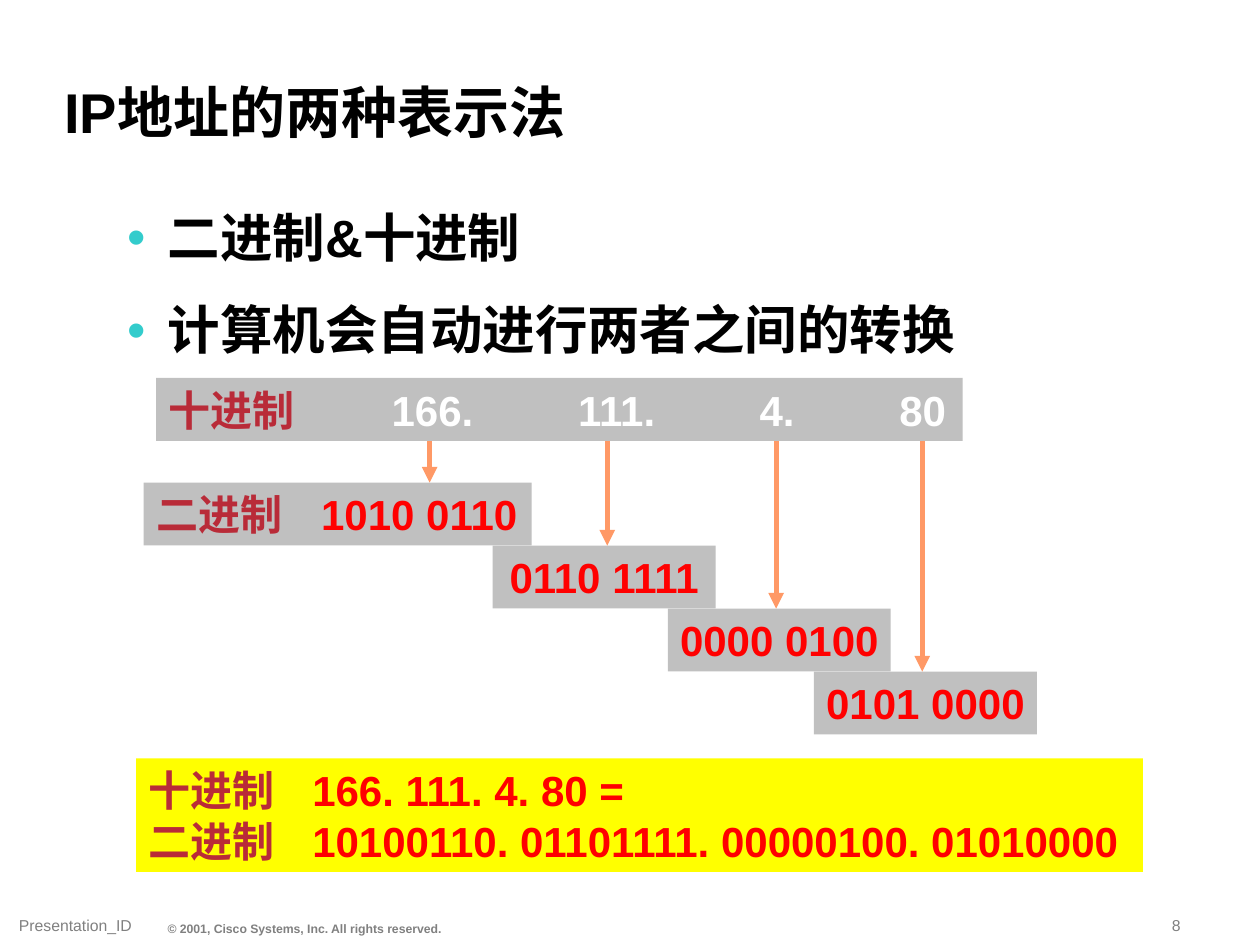
"""Build the slide on the decimal and binary notations of IP addresses."""
from lxml import etree
from pptx import Presentation
from pptx.dml.color import RGBColor
from pptx.enum.shapes import MSO_CONNECTOR, MSO_SHAPE
from pptx.enum.text import MSO_ANCHOR, MSO_AUTO_SIZE, PP_ALIGN
from pptx.oxml.ns import qn
from pptx.util import Inches, Pt

RECTANGLE = MSO_SHAPE.RECTANGLE
STRAIGHT = MSO_CONNECTOR.STRAIGHT
MIDDLE, BOTTOM = MSO_ANCHOR.MIDDLE, MSO_ANCHOR.BOTTOM
LEFT, CENTER = PP_ALIGN.LEFT, PP_ALIGN.CENTER
NO_AUTOFIT = MSO_AUTO_SIZE.NONE

BLACK = RGBColor(0x00, 0x00, 0x00)
WHITE = RGBColor(0xFF, 0xFF, 0xFF)
GRAY = RGBColor(0x80, 0x80, 0x80)
SILVER = RGBColor(0xC0, 0xC0, 0xC0)
YELLOW = RGBColor(0xFF, 0xFF, 0x00)
RED = RGBColor(0xFF, 0x00, 0x00)
CRIMSON = RGBColor(0xB9, 0x2B, 0x38)
ORANGE = RGBColor(0xFF, 0x99, 0x66)
TEAL = "33CCCC"


def set_font(target, size, color, bold=True):
    target.font.name = "Arial"
    target.font.size = Pt(size)
    target.font.bold = bold
    target.font.color.rgb = color


def add_bar(left, top, width, height, fill, lines, stops=(), align=LEFT):
    bar = slide.shapes.add_shape(
        RECTANGLE, Inches(left), Inches(top), Inches(width), Inches(height))
    bar.shadow.inherit = False
    bar.fill.solid()
    bar.fill.fore_color.rgb = fill
    bar.line.fill.background()
    frame = bar.text_frame
    frame.word_wrap = bool(stops)
    frame.vertical_anchor = MIDDLE
    frame.margin_left = Inches(0.1)
    frame.margin_right = Inches(0.05 if stops else 0.1)
    for index, pieces in enumerate(lines):
        paragraph = frame.add_paragraph() if index else frame.paragraphs[0]
        if stops:
            tabs = etree.SubElement(paragraph._p.get_or_add_pPr(), qn("a:tabLst"))
            for stop in stops:
                etree.SubElement(tabs, qn("a:tab"), pos=str(Inches(stop)), algn="l")
        paragraph.alignment = align
        for text, color in pieces:
            run = paragraph.add_run()
            run.text = text
            set_font(run, 24, color)


prs = Presentation()
prs.slide_width, prs.slide_height = Inches(10), Inches(7.5)
slide = prs.slides.add_slide(prs.slide_layouts[1])

title = slide.shapes.title
title.left, title.top = Inches(0.42), Inches(0.28)
title.width, title.height = Inches(9.58), Inches(0.92)
title.text_frame.text = "IP地址的两种表示法"
title.text_frame.vertical_anchor = BOTTOM
heading = title.text_frame.paragraphs[0]
heading.alignment = LEFT
heading.line_spacing = 0.9
set_font(heading.runs[0], 32, BLACK)

points = slide.placeholders[1]
points.left, points.top = Inches(0.92), Inches(1.59)
points.width, points.height = Inches(7.17), Inches(1.35)
points.text_frame.text = "二进制&十进制\n计算机会自动进行两者之间的转换"
points.text_frame.vertical_anchor = MIDDLE
for index, point in enumerate(points.text_frame.paragraphs):
    properties = point._p.get_or_add_pPr()
    properties.set("marL", str(Inches(0.32)))
    properties.set("indent", str(-Inches(0.32)))
    bullet_color = etree.SubElement(properties, qn("a:buClr"))
    etree.SubElement(bullet_color, qn("a:srgbClr"), val=TEAL)
    etree.SubElement(properties, qn("a:buChar"), char="•")
    point.line_spacing = 0.95
    point.space_before = Pt(18.7 if index else 0)
    set_font(point.runs[0], 30, BLACK)

for placeholder in (title, points):
    placeholder.text_frame.auto_size = NO_AUTOFIT
    placeholder.text_frame.margin_left = Inches(0.09)
    placeholder.text_frame.margin_right = Inches(0.09)
    placeholder.text_frame.margin_top = Inches(0.04)
    placeholder.text_frame.margin_bottom = Inches(0.04)

add_bar(1.08, 6.02, 7.99, 0.9, YELLOW, [
    [("十进制\t", CRIMSON), ("166. 111. 4. 80 =", RED)],
    [("二进制\t", CRIMSON), ("10100110. 01101111. 00000100. 01010000", RED)],
], stops=[1.3])

BAR_HEIGHT = 0.5
FIRST_OCTET_TOP = 3.83
add_bar(1.14, FIRST_OCTET_TOP, 3.08, BAR_HEIGHT, SILVER,
        [[("二进制\t", CRIMSON), ("1010 0110", RED)]], stops=[1.31])
octets = [(3.91, "0110 1111"), (5.3, "0000 0100"), (6.46, "0101 0000")]
for step, (left, bits) in enumerate(octets, start=1):
    add_bar(left, FIRST_OCTET_TOP + step * BAR_HEIGHT, 1.77, BAR_HEIGHT, SILVER,
            [[(bits, RED)]], align=CENTER)

for step, x in enumerate([3.41, 4.82, 6.16, 7.32]):
    arrow = slide.shapes.add_connector(
        STRAIGHT, Inches(x), Inches(3.42),
        Inches(x), Inches(FIRST_OCTET_TOP + step * BAR_HEIGHT))
    arrow.line.color.rgb = ORANGE
    arrow.line.width = Pt(3)
    etree.SubElement(arrow.line._get_or_add_ln(), qn("a:tailEnd"), type="triangle")
    etree.SubElement(arrow._element.spPr, qn("a:effectLst"))

add_bar(1.24, 3, 6.4, BAR_HEIGHT, SILVER,
        [[("十进制", CRIMSON), ("\t166.\t111.\t4.\t80", WHITE)]],
        stops=[1.77, 3.25, 4.69, 5.8])

footers = [
    (0.06, 7.07, 1.08, 0.39, "Presentation_ID", 9, False),
    (1.24, 7.26, 2.36, 0.21, "© 2001, Cisco Systems, Inc. All rights reserved.", 7, True),
    (9.21, 7.22, 0.75, 0.24, "8", 9, False),
]
for left, top, width, height, text, size, bold in footers:
    footer = slide.shapes.add_textbox(
        Inches(left), Inches(top), Inches(width), Inches(height))
    frame = footer.text_frame
    frame.text = text
    frame.word_wrap = True
    frame.vertical_anchor = BOTTOM
    frame.margin_left, frame.margin_right = Inches(0.09), Inches(0.05)
    frame.margin_top = frame.margin_bottom = Inches(0.04)
    set_font(frame.paragraphs[0].runs[0], size, GRAY, bold)

prs.save("out.pptx")
